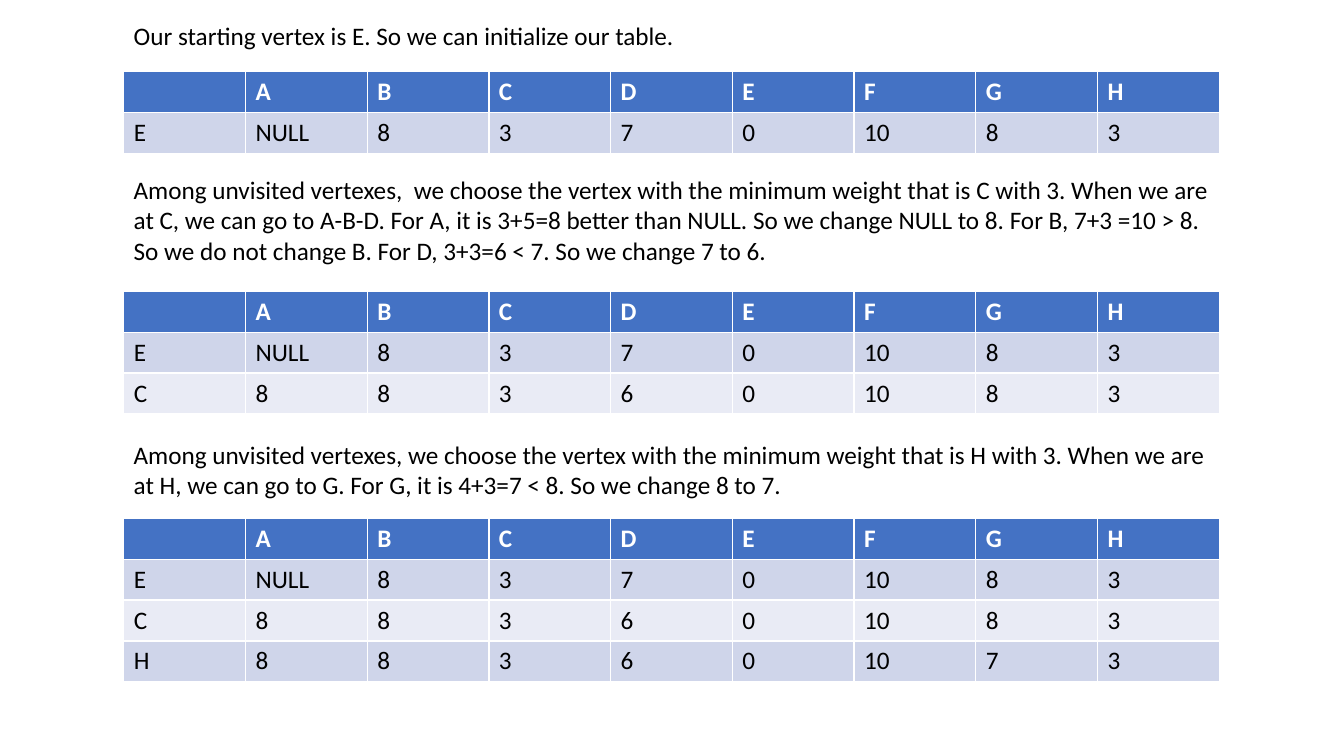
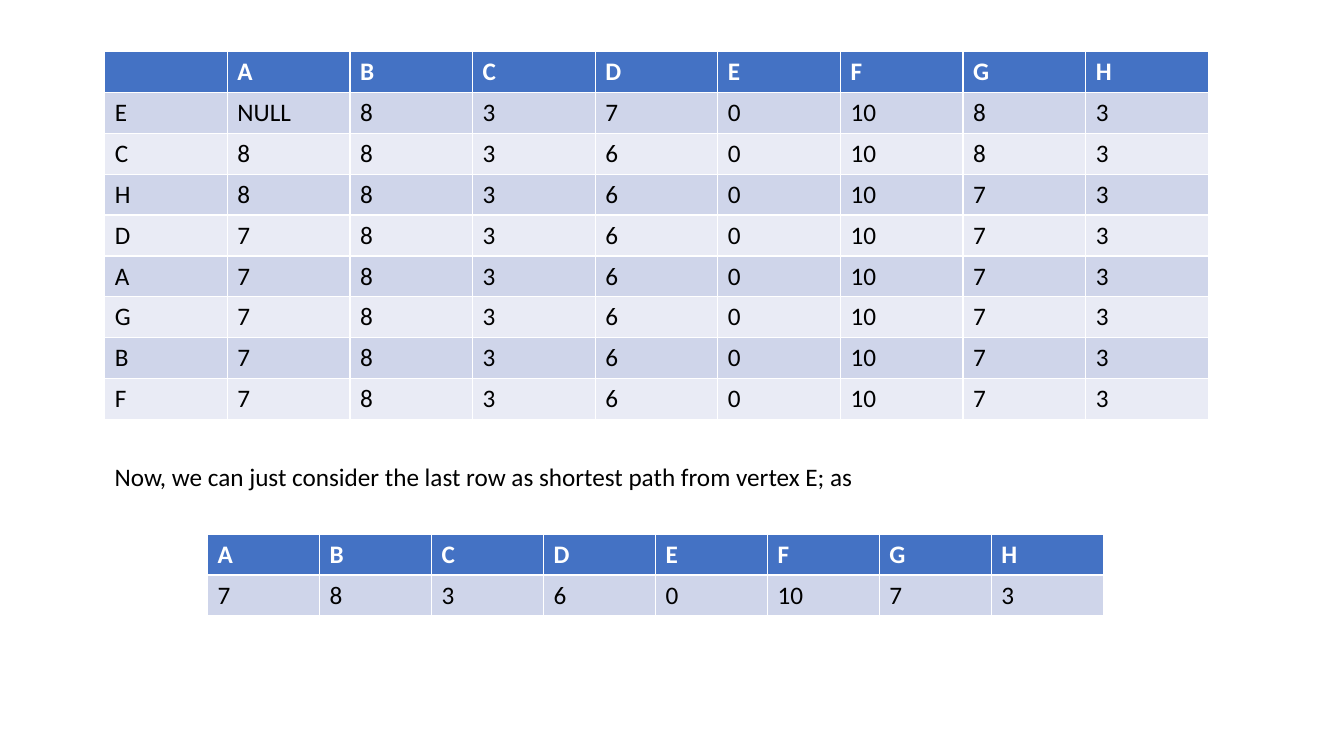
import pptx
import pptx.dml.color
import pptx.enum.text
import pptx.util

Cm = pptx.util.Cm

COLORS = {
    "header": "4472C4",
    "band_dark": "CFD5EA",
    "band_light": "E9EBF5",
    "text": "000000",
    "header_text": "FFFFFF",
}
FONT = {"name": "Calibri", "size": pptx.util.Pt(18), "bold": False}
HEADER_FONT = {**FONT, "bold": True}
FRAME = {
    "word_wrap": True,
    "auto_size": pptx.enum.text.MSO_AUTO_SIZE.SHAPE_TO_FIT_TEXT,
}

ROW_HEIGHT = 1.03
LINE_HEIGHT = 0.76
TEXT_PADDING = 0.27

VERTICES = list("ABCDEFGH")
STEPS = [
    ["E", "NULL", 8, 3, 7, 0, 10, 8, 3],
    ["C", 8, 8, 3, 6, 0, 10, 8, 3],
    ["H", 8, 8, 3, 6, 0, 10, 7, 3],
] + [[vertex, 7, 8, 3, 6, 0, 10, 7, 3] for vertex in "DAGBF"]


def rgb(name):
    """Return the named colour."""
    return pptx.dml.color.RGBColor.from_string(COLORS[name])


def apply(target, values):
    """Set each attribute in values on target."""
    for key, value in values.items():
        setattr(target, key, value)


def write(tf, text, font, color):
    """Put one formatted run into the first paragraph."""
    r = tf.paragraphs[0].add_run()
    r.text = text
    apply(r.font, font)
    r.font.color.rgb = rgb(color)


def add_text(s, left, top, width, text, lines=1):
    """Add a wrapping text box sized for a number of lines."""
    height = lines * LINE_HEIGHT + TEXT_PADDING
    sp = s.shapes.add_textbox(Cm(left), Cm(top), Cm(width), Cm(height))
    apply(sp.text_frame, FRAME)
    write(sp.text_frame, text, FONT, "text")


def add_distances(s, left, top, width, header, rows):
    """Add a distance table with a header row and banded body rows."""
    grid = [header] + rows
    table = s.shapes.add_table(
        len(grid), len(header), Cm(left), Cm(top),
        Cm(width), Cm(ROW_HEIGHT * len(grid))).table
    for i, values in enumerate(grid):
        if i == 0:
            fill, font, color = "header", HEADER_FONT, "header_text"
        else:
            fill = "band_dark" if i % 2 else "band_light"
            font, color = FONT, "text"
        for j, value in enumerate(values):
            cell = table.cell(i, j)
            cell.fill.solid()
            cell.fill.fore_color.rgb = rgb(fill)
            if value != "":
                write(cell.text_frame, str(value), font, color)


def add_first_steps(prs):
    """Build the slide that explains the first three steps."""
    s = prs.slides.add_slide(prs.slide_layouts[6])
    left, width = 3.12, 27.61
    steps = [
        (0.38, 1, 1.8,
         "Our starting vertex is E. So we can initialize our table."),
        (4.27, 3, 7.34,
         "Among unvisited vertexes,  we choose the vertex with the minimum "
         "weight that is C with 3. When we are at C, we can go to A-B-D. "
         "For A, it is 3+5=8 better than NULL. So we change NULL to 8. "
         "For B, 7+3 =10 > 8. So we do not change B. "
         "For D, 3+3=6 < 7. So we change 7 to 6."),
        (10.95, 2, 13.06,
         "Among unvisited vertexes, we choose the vertex with the minimum "
         "weight that is H with 3. When we are at H, we can go to G. "
         "For G, it is 4+3=7 < 8. So we change 8 to 7."),
    ]
    for count, (text_top, lines, table_top, text) in enumerate(steps, 1):
        add_text(s, left, text_top, width, text, lines)
        add_distances(s, left, table_top, width,
                      [""] + VERTICES, STEPS[:count])


def add_result(prs):
    """Build the slide with all steps and the shortest paths."""
    s = prs.slides.add_slide(prs.slide_layouts[6])
    left, width = 2.64, 27.81
    add_distances(s, left, 1.3, width, [""] + VERTICES, STEPS)
    add_text(s, left, 11.51, width,
             "Now, we can just consider the last row as shortest path "
             "from vertex E; as")
    add_distances(s, 5.23, 13.46, 22.58, VERTICES, [STEPS[-1][1:]])


def main():
    """Build and save the presentation."""
    prs = pptx.Presentation()
    apply(prs, {"slide_width": Cm(33.87), "slide_height": Cm(19.05)})
    add_first_steps(prs)
    add_result(prs)
    prs.save("out.pptx")


main()
